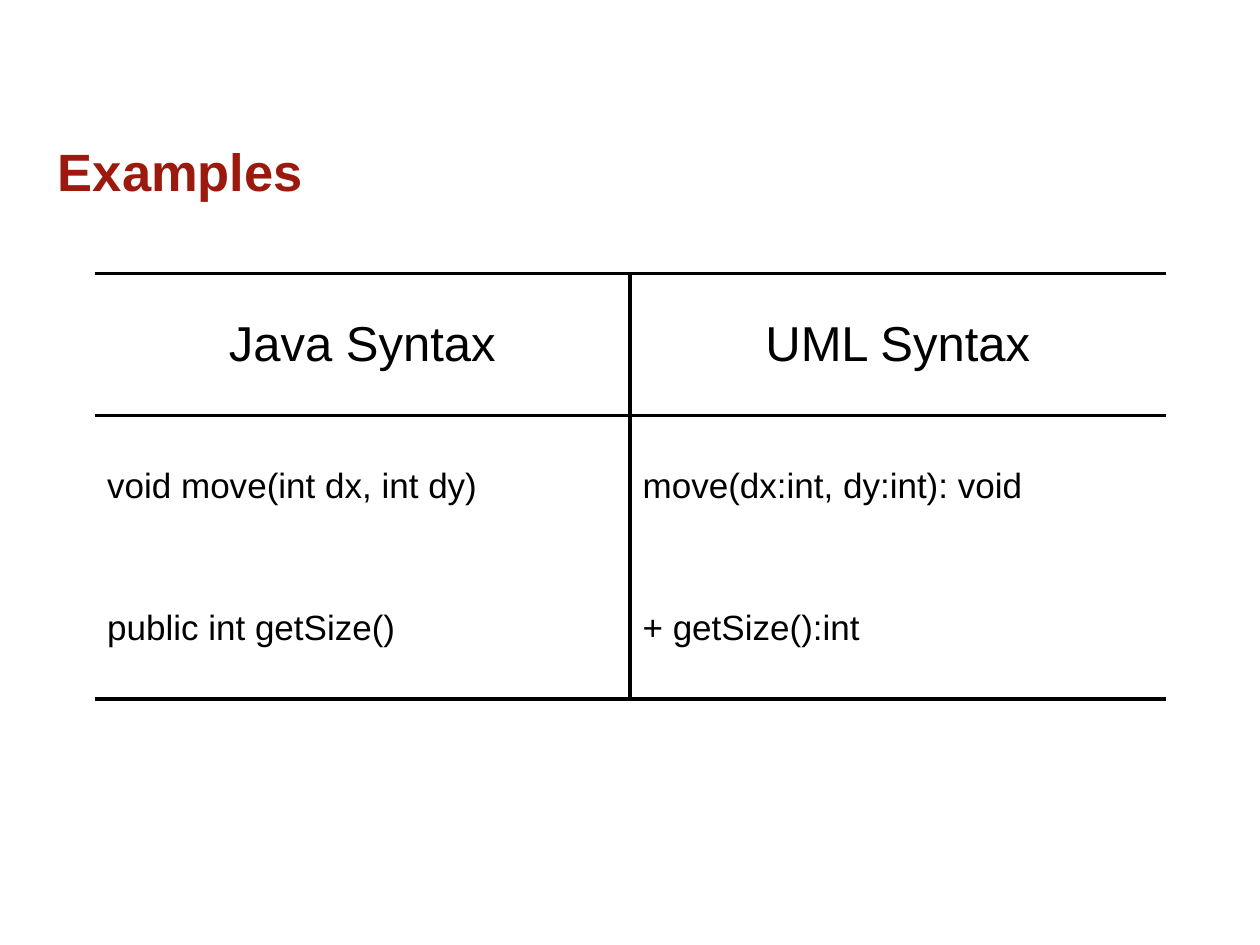
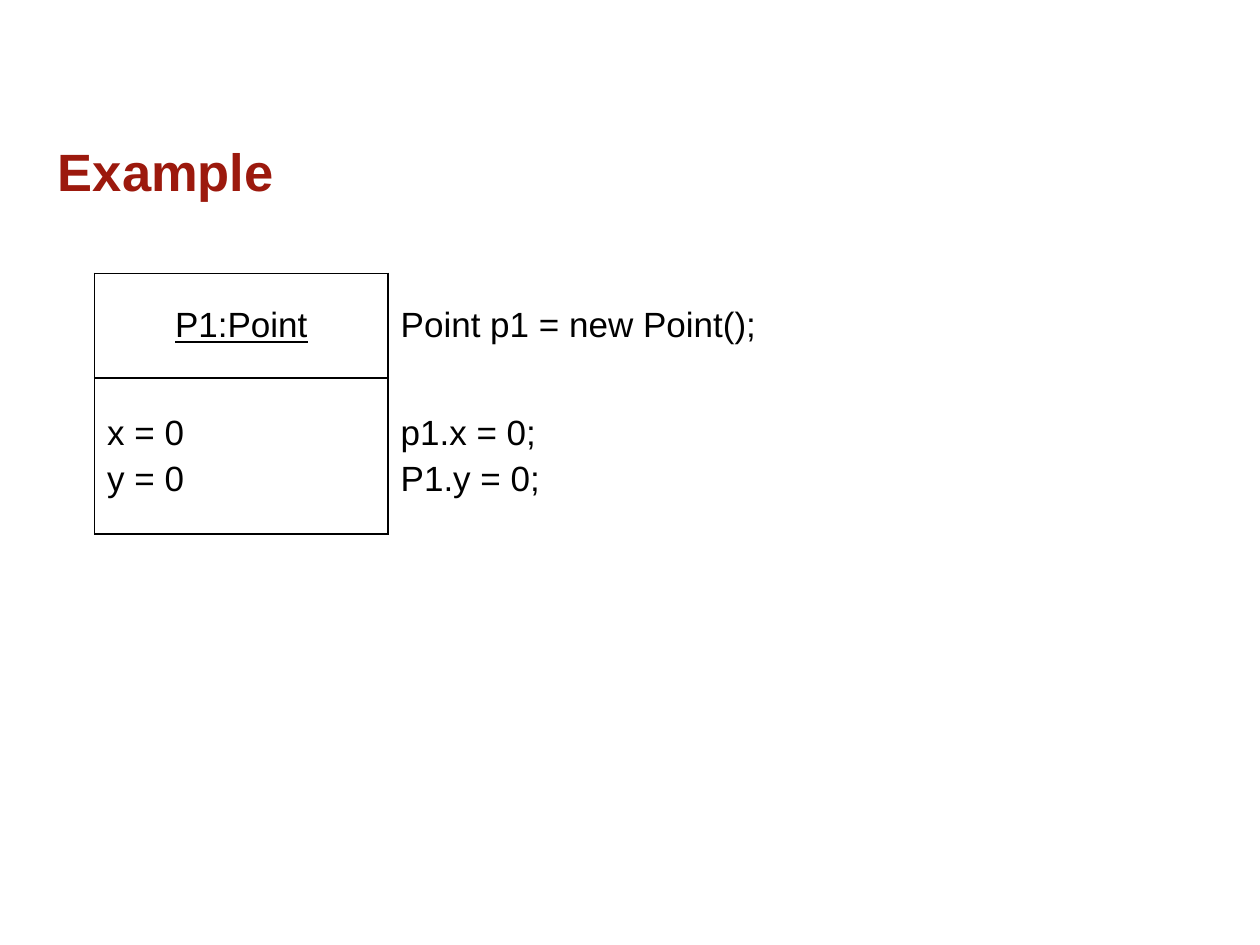
from dataclasses import dataclass

from lxml.etree import SubElement
from pptx import Presentation
from pptx.dml.color import RGBColor
from pptx.enum.text import MSO_ANCHOR, PP_ALIGN
from pptx.oxml.ns import qn
from pptx.util import Inches, Pt

WIDTH, HEIGHT = Inches(10), Inches(7.5)
FONT = "Arial"
BLACK, RED = "000000", "9C190D"
TITLE_BOX = (0.36, 0.99, 9.28, 0.72)
TABLE_LEFT, TABLE_TOP = 0.75, 2.17
SIDES = "LRTB"


@dataclass(frozen=True)
class Cell:
    text: str
    borders: str
    size: int = 20
    align: PP_ALIGN = PP_ALIGN.LEFT
    underline: bool = False


@dataclass(frozen=True)
class Grid:
    cols: tuple[float, ...]
    rows: tuple[float, ...]
    line_width: float
    cells: tuple[tuple[Cell, ...], ...]


def heading(text: str, borders: str, size: int = 20, underline: bool = False) -> Cell:
    return Cell(text, borders, size, PP_ALIGN.CENTER, underline)


SYNTAX = Grid(
    cols=(4.25,) * 2, rows=(3.38 / 3,) * 3, line_width=2.25,
    cells=(
        (heading("Java Syntax", "RTB", 28), heading("UML Syntax", "LTB", 28)),
        (Cell("void move(int dx, int dy)", "RT"), Cell("move(dx:int, dy:int): void", "LT")),
        (Cell("public int getSize()", "RB"), Cell("+ getSize():int", "LB")),
    ))
POINT_OBJECT = Grid(
    cols=(2.33, 3.92), rows=(0.83, 1.24), line_width=1,
    cells=(
        (heading("P1:Point", SIDES, underline=True), Cell("Point p1 = new Point();", "L")),
        (Cell("x = 0\ny = 0", SIDES), Cell("p1.x = 0;\nP1.y = 0;", "L")),
    ))


def color(value: str) -> RGBColor:
    return RGBColor.from_string(value)


def write(tf, text: str, *, size: int, fill: str = BLACK, bold: bool = False,
          underline: bool = False, align: PP_ALIGN = PP_ALIGN.LEFT,
          before: float = 0) -> None:
    """Write one paragraph per line; before is a share of the text size."""
    for i, line in enumerate(text.split("\n")):
        p = tf.add_paragraph() if i else tf.paragraphs[0]
        p.alignment = align
        p.space_before = Pt(size * before)
        r = p.add_run()
        r.text = line
        font = r.font
        font.name, font.size = FONT, Pt(size)
        font.bold, font.underline = bold, underline
        font.color.rgb = color(fill)


def set_borders(cell, sides: str, width: float) -> None:
    """Draw the named sides and hide the others."""
    props = cell._tc.get_or_add_tcPr()
    for side in SIDES:
        ln = SubElement(props, qn(f"a:ln{side}"), w=str(Pt(width)))
        if side in sides:
            fill = SubElement(ln, qn("a:solidFill"))
            SubElement(fill, qn("a:srgbClr"), val=BLACK)
        else:
            SubElement(ln, qn("a:noFill"))


def add_titled_slide(prs, title: str):
    slide = prs.slides.add_slide(prs.slide_layouts[5])
    sp = slide.shapes.title
    sp.left, sp.top, sp.width, sp.height = map(Inches, TITLE_BOX)
    sp.text_frame.vertical_anchor = MSO_ANCHOR.MIDDLE
    write(sp.text_frame, title, size=30, fill=RED, bold=True)
    return slide


def add_grid(slide, grid: Grid) -> None:
    box = map(Inches, (TABLE_LEFT, TABLE_TOP, sum(grid.cols), sum(grid.rows)))
    table = slide.shapes.add_table(len(grid.rows), len(grid.cols), *box).table
    table.first_row = table.horz_banding = False
    for column, width in zip(table.columns, grid.cols):
        column.width = Inches(width)
    for row, height, items in zip(table.rows, grid.rows, grid.cells):
        row.height = Inches(height)
        for cell, item in zip(row.cells, items):
            set_borders(cell, item.borders, grid.line_width)
            cell.fill.background()
            cell.vertical_anchor = MSO_ANCHOR.MIDDLE
            write(cell.text_frame, item.text, size=item.size, align=item.align,
                  underline=item.underline, before=0.2)


def main() -> None:
    prs = Presentation()
    prs.slide_width, prs.slide_height = WIDTH, HEIGHT
    for title, grid in (("Examples", SYNTAX), ("Example", POINT_OBJECT)):
        add_grid(add_titled_slide(prs, title), grid)
    prs.save("out.pptx")


if __name__ == "__main__":
    main()
